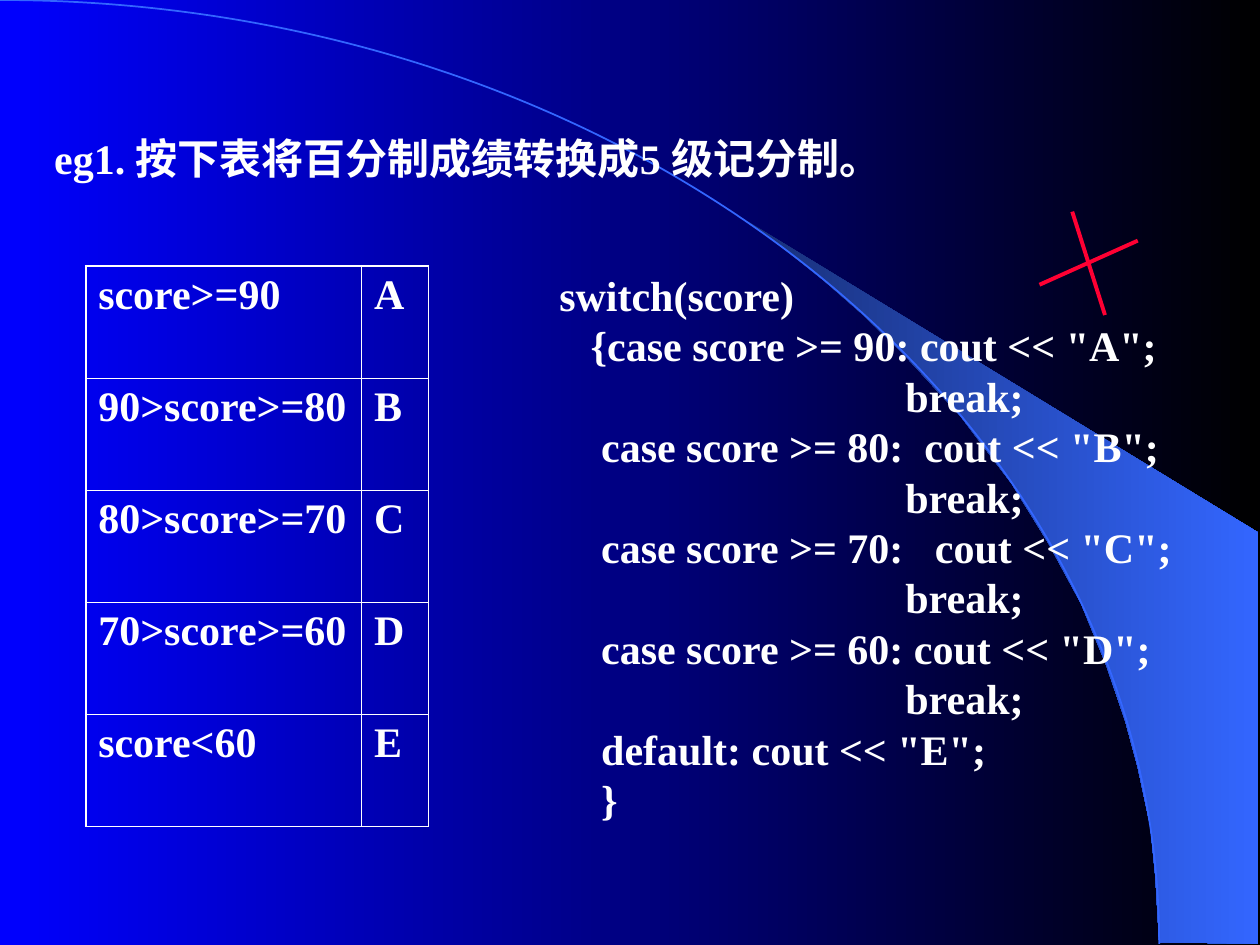
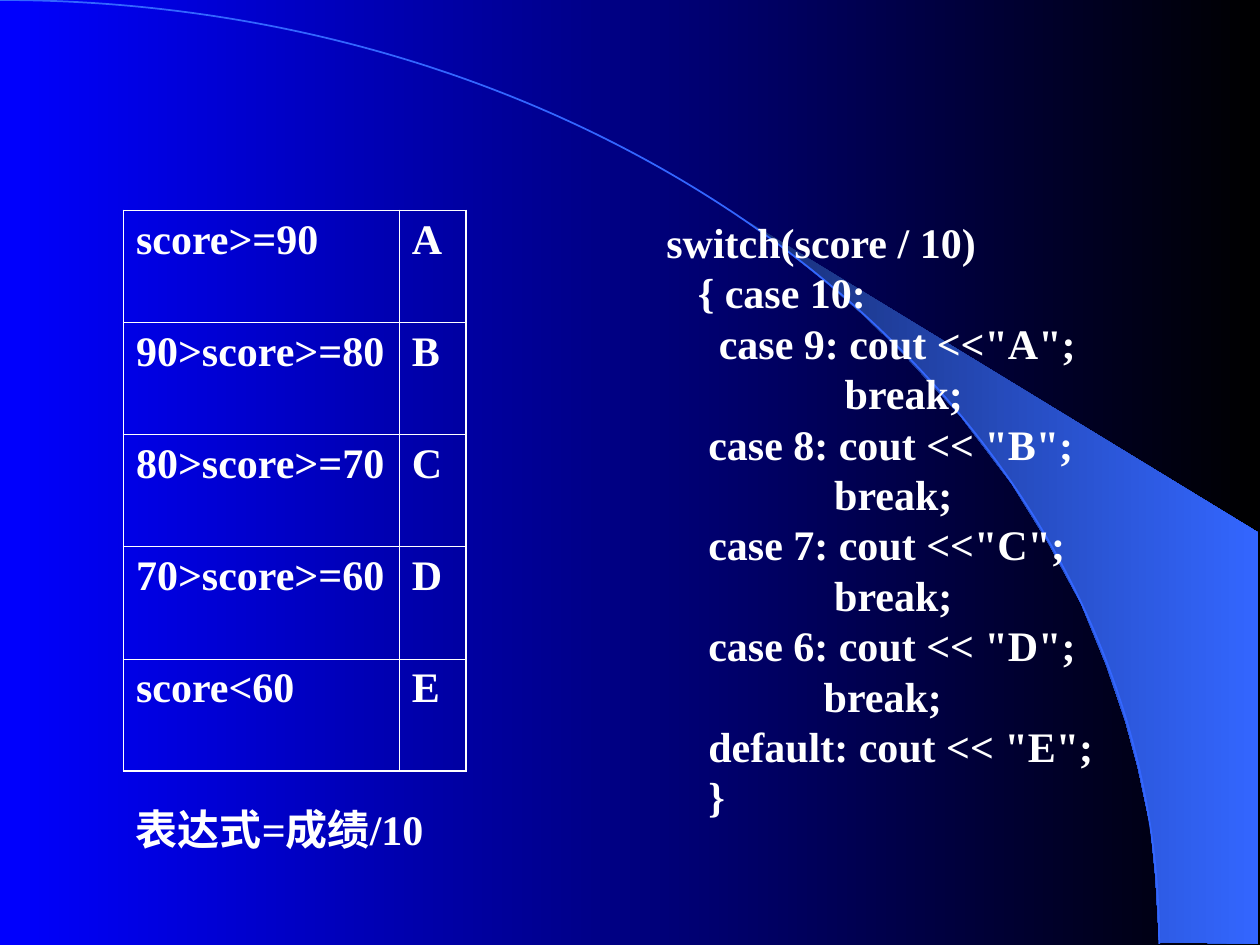
"""Build two slides on turning percentage scores into five grades with switch."""
from dataclasses import dataclass

from lxml import etree
from pptx import Presentation
from pptx.dml.color import RGBColor
from pptx.enum.shapes import MSO_CONNECTOR
from pptx.enum.text import MSO_ANCHOR, MSO_AUTO_SIZE, PP_ALIGN
from pptx.oxml.ns import qn
from pptx.util import Inches, Pt

STRAIGHT = MSO_CONNECTOR.STRAIGHT
LEFT, JUSTIFY = PP_ALIGN.LEFT, PP_ALIGN.JUSTIFY
TOP, NO_AUTOFIT = MSO_ANCHOR.TOP, MSO_AUTO_SIZE.NONE
TITLE_ONLY, BLANK = 5, 6


@dataclass(frozen=True)
class Theme:
    """Colours, font and sizes shared by both slides."""
    font: str = "Times New Roman"
    size: float = 24
    text: str = "FFFFFF"
    background: tuple = ("0000FF", "000000")
    beam: tuple = ("182F76", "3366FF")
    arc: str = "3366FF"
    cross: str = "FF0033"
    outer_border: float = 1.08
    inner_border: float = 0.45


THEME = Theme()

HEADING = "eg1. 按下表将百分制成绩转换成5 级记分制。"
HEADING_BOX = (0.33, 1, 7.17, 0.5)
GRADES = [
    ("score>=90", "A"),
    ("90>score>=80", "B"),
    ("80>score>=70", "C"),
    ("70>score>=60", "D"),
    ("score<60", "E"),
]
GRADE_COLUMNS = (2.19, 0.53)
GRADE_ROW = 0.89
EXPRESSION = "表达式=成绩/10"
EXPRESSION_BOX = (0.98, 6.33, 2.58, 0.9)

WRONG_CODE = """switch(score)
   {case score >= 90: cout << "A";
                                 break;
    case score >= 80:  cout << "B";
                                 break;
    case score >= 70:   cout << "C";
                                 break;
    case score >= 60: cout << "D";
                                 break;
    default: cout << "E";
    }"""
WRONG_CODE_BOX = (4.34, 2.09, 5.41, 4.5)
RIGHT_CODE = """switch(score / 10)
   { case 10:
     case 9: cout <<"A";
                 break;
    case 8: cout << "B";
                break;
    case 7: cout <<"C";
                break;
    case 6: cout << "D";
               break;
    default: cout << "E";
    }"""
RIGHT_CODE_BOX = (5.19, 1.67, 3.98, 4.9)

CROSS_STROKES = [(9.03, 1.91, 8.25, 2.26), (8.51, 1.68, 8.77, 2.5)]
BEAM_POINTS = [
    (9.2, 7.48), (9.99, 7.49), (9.99, 4.23), (5.89, 1.73), (6.24, 1.99),
    (6.53, 2.22), (6.85, 2.5), (7.16, 2.8), (7.62, 3.3), (8.03, 3.84),
    (8.32, 4.31), (8.58, 4.79), (8.78, 5.28), (8.93, 5.72), (9.03, 6.09),
    (9.13, 6.56), (9.17, 6.96),
]
ARC_CURVE = [(5.08, 0), (9.2, 3.35), (9.2, 7.49)]


def inches(values):
    """Turn plain numbers into lengths."""
    return [Inches(value) for value in values]


def fill_gradient(fill, colours):
    """Fill from left to right between two colours."""
    fill.gradient()
    fill.gradient_angle = 0
    for stop, colour in zip(fill.gradient_stops, colours):
        stop.color.rgb = RGBColor.from_string(colour)


def write(frame, text, align=LEFT, bold=True, size=THEME.size, colour=THEME.text):
    """Write each line of the text as one formatted paragraph."""
    frame.word_wrap = True
    frame.vertical_anchor = TOP
    for number, line in enumerate(text.split("\n")):
        paragraph = frame.add_paragraph() if number else frame.paragraphs[0]
        paragraph.alignment = align
        run = paragraph.add_run()
        run.text = line
        run.font.name = THEME.font
        run.font.size = Pt(size)
        run.font.bold = bold
        run.font.color.rgb = RGBColor.from_string(colour)


def add_text(slide, box, text, **text_format):
    """Add a text box."""
    frame = slide.shapes.add_textbox(*inches(box)).text_frame
    write(frame, text, **text_format)


def add_outline(slide, start, points, close):
    """Add a freeform through points given in inches."""
    builder = slide.shapes.build_freeform(*inches(start), scale=1.0)
    builder.add_line_segments([inches(point) for point in points], close=close)
    outline = builder.convert_to_shape()
    outline.shadow.inherit = False
    return outline


def decorate_master(master, slide):
    """Give the master its background, light beam and arc."""
    fill_gradient(master.background.fill, THEME.background)

    beam = add_outline(slide, BEAM_POINTS[0], BEAM_POINTS[1:], close=True)
    fill_gradient(beam.fill, THEME.beam)
    beam.line.fill.background()

    arc = add_outline(slide, (0, 0), ARC_CURVE[-1:], close=False)
    arc.fill.background()
    arc.line.color.rgb = RGBColor.from_string(THEME.arc)
    arc.line.width = Pt(1)
    curve_path = arc.element.find(".//" + qn("a:path"))
    curve_path.remove(curve_path.find(qn("a:lnTo")))
    curve = etree.SubElement(curve_path, qn("a:cubicBezTo"))
    for x, y in ARC_CURVE:
        etree.SubElement(curve, qn("a:pt"), x=str(Inches(x)), y=str(Inches(y)))

    for offset, part in enumerate((beam, arc)):
        part.element.nvSpPr.cNvPr.set("id", str(101 + offset))
        master.shapes.element.insert(2 + offset, part.element)


def set_border(cell, side, width):
    """Draw one side of a cell."""
    border = etree.SubElement(cell._tc.get_or_add_tcPr(), qn("a:ln" + side), w=str(Pt(width)))
    colour = etree.SubElement(etree.SubElement(border, qn("a:solidFill")), qn("a:srgbClr"))
    colour.set("val", THEME.text)


def add_grades(slide, left, top):
    """Add the grade table with a heavier outer border."""
    rows, columns = len(GRADES), len(GRADE_COLUMNS)
    box = inches((left, top, sum(GRADE_COLUMNS), rows * GRADE_ROW))
    table = slide.shapes.add_table(rows, columns, *box).table
    table.first_row = table.horz_banding = False
    for column, width in zip(table.columns, GRADE_COLUMNS):
        column.width = Inches(width)
    for r, grade in enumerate(GRADES):
        table.rows[r].height = Inches(GRADE_ROW)
        for c, text in enumerate(grade):
            cell = table.cell(r, c)
            write(cell.text_frame, text)
            outer = {"L": c == 0, "R": c == columns - 1, "T": r == 0, "B": r == rows - 1}
            for side, is_outer in outer.items():
                set_border(cell, side, THEME.outer_border if is_outer else THEME.inner_border)
            cell.fill.background()


def add_cross(slide):
    """Mark the code as wrong."""
    for ends in CROSS_STROKES:
        stroke = slide.shapes.add_connector(STRAIGHT, *inches(ends))
        stroke.line.color.rgb = RGBColor.from_string(THEME.cross)
        stroke.line.width = Pt(2.25)
        etree.SubElement(stroke.element.spPr, qn("a:effectLst"))


def main():
    """Build and save both slides."""
    deck = Presentation()
    deck.slide_width, deck.slide_height = inches((10, 7.5))

    wrong = deck.slides.add_slide(deck.slide_layouts[TITLE_ONLY])
    decorate_master(deck.slide_master, wrong)
    heading = wrong.shapes.title
    heading.left, heading.top, heading.width, heading.height = inches(HEADING_BOX)
    heading.text_frame.auto_size = NO_AUTOFIT
    write(heading.text_frame, HEADING)
    add_grades(wrong, 0.68, 2.11)
    add_text(wrong, WRONG_CODE_BOX, WRONG_CODE, align=JUSTIFY)
    add_cross(wrong)

    right = deck.slides.add_slide(deck.slide_layouts[BLANK])
    add_grades(right, 0.98, 1.67)
    add_text(right, EXPRESSION_BOX, EXPRESSION)
    add_text(right, RIGHT_CODE_BOX, RIGHT_CODE, align=JUSTIFY)

    deck.save("out.pptx")


if __name__ == "__main__":
    main()
